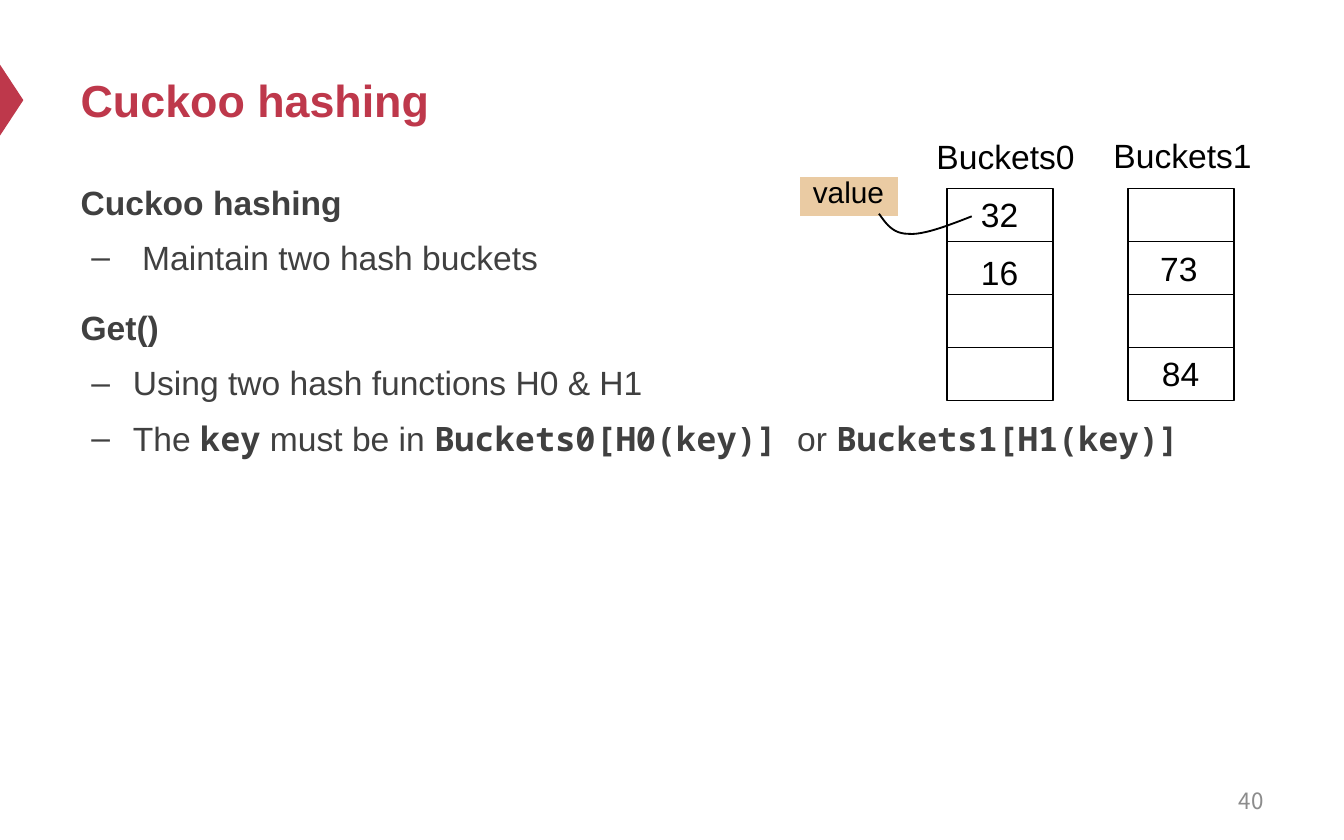
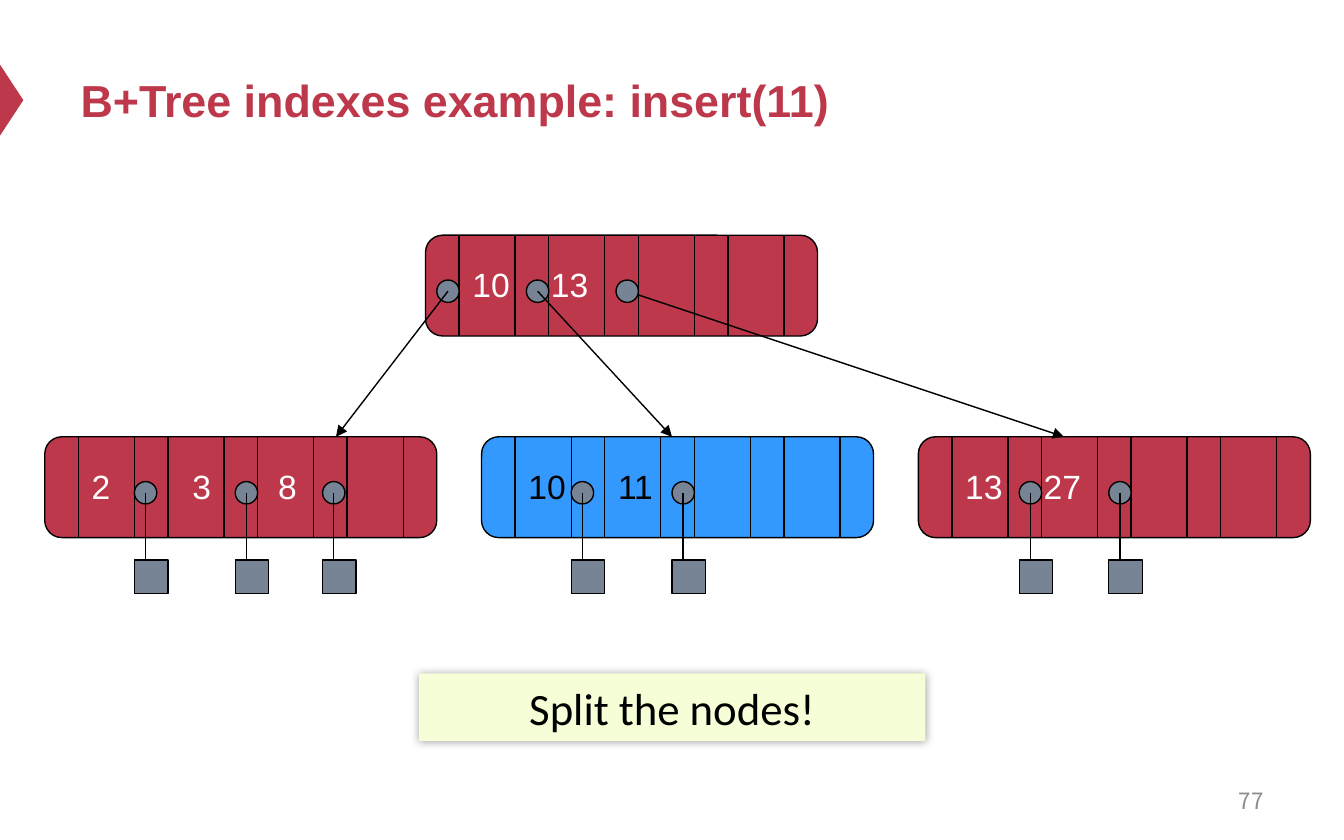
from lxml.etree import SubElement
from pptx import Presentation
from pptx.dml.color import RGBColor
from pptx.enum.shapes import MSO_CONNECTOR as Connector, MSO_SHAPE as Preset
from pptx.enum.text import MSO_ANCHOR as Anchor, MSO_AUTO_SIZE as AutoSize, PP_ALIGN as Align
from pptx.oxml.ns import qn
from pptx.util import Pt

COLORS = {
    "accent": "BE384B",
    "body": "404040",
    "number": "8C8C8C",
    "black": "000000",
    "white": "FFFFFF",
    "tag": "EACBA3",
    "pointer": "778495",
    "split": "3399FF",
    "callout": "F5FED6",
}
SANS, MONO, CALLOUT, NUMBER = "Arial", "Noto Sans Mono", "Calibri", "Noto Sans CJK SC"
TITLE_ONLY, TITLE_AND_BODY = 5, 1
CELL_WIDTH, CELL_HEIGHT = 56.8, 28.4
NODE_WIDTH, NODE_HEIGHT = 210, 54
KEY_WIDTH, POINTER_WIDTH = 30, 18
DOT, RECORD = 12, 18


def color(name):
    return RGBColor.from_string(COLORS[name])


def bezier(start, first, second, end, steps=12):
    for step in range(1, steps + 1):
        t = step / steps
        weights = ((1 - t) ** 3, 3 * t * (1 - t) ** 2, 3 * t ** 2 * (1 - t), t ** 3)
        yield tuple(
            sum(weight * point[axis] for weight, point in zip(weights, (start, first, second, end)))
            for axis in (0, 1)
        )


class SlideBuilder:
    def __init__(self):
        self.deck = Presentation()
        self.deck.slide_width, self.deck.slide_height = Pt(720), Pt(450)
        self.page = None

    def start(self, layout, title, number):
        self.page = self.deck.slides.add_slide(self.deck.slide_layouts[layout])
        marker = self.shape(Preset.ISOSCELES_TRIANGLE, -12.75, 47.4, 38, 12.5, "accent", None)
        marker.rotation = 90
        heading = self.page.shapes.title
        self.place(heading, 36, 18, 648, 70.5)
        frame = heading.text_frame
        frame.text = title
        frame.vertical_anchor = Anchor.MIDDLE
        self.style(frame.paragraphs[0], 24, "accent", bold=True)
        box = self.label(str(number), 516, 417, 168, 24, 12, "number", NUMBER, wrap=True)
        box.text_frame.auto_size = AutoSize.NONE
        box.text_frame.vertical_anchor = Anchor.MIDDLE
        box.text_frame.paragraphs[0].alignment = Align.RIGHT

    def place(self, shape, left, top, width, height):
        shape.left, shape.top = Pt(left), Pt(top)
        shape.width, shape.height = Pt(width), Pt(height)

    def style(self, para, size, ink, font=SANS, bold=False, align=Align.LEFT):
        para.alignment = align
        para.font.size = Pt(size)
        para.font.bold = bold
        para.font.color.rgb = color(ink)
        if font:
            para.font.name = font

    def shape(self, preset, left, top, width, height, fill, line="black", weight=0.75):
        shape = self.page.shapes.add_shape(preset, Pt(left), Pt(top), Pt(width), Pt(height))
        shape.shadow.inherit = False
        self.paint(shape, fill, line, weight)
        return shape

    def paint(self, shape, fill, line, weight):
        if fill:
            shape.fill.solid()
            shape.fill.fore_color.rgb = color(fill)
        else:
            shape.fill.background()
        if line:
            shape.line.color.rgb = color(line)
            shape.line.width = Pt(weight)
        else:
            shape.line.fill.background()

    def label(self, text, left, top, width, height, size=18, ink="black", font=SANS, wrap=False):
        box = self.page.shapes.add_textbox(Pt(left), Pt(top), Pt(width), Pt(height))
        frame = box.text_frame
        frame.word_wrap = wrap
        frame.auto_size = AutoSize.SHAPE_TO_FIT_TEXT
        frame.text = text
        self.style(frame.paragraphs[0], size, ink, font)
        return box

    def key(self, value, left, top, ink="black"):
        self.label(str(value), left, top, 14.5 + 10 * len(str(value)), 29, ink=ink)

    def line(self, x1, y1, x2, y2, arrow=False):
        line = self.page.shapes.add_connector(Connector.STRAIGHT, Pt(x1), Pt(y1), Pt(x2), Pt(y2))
        line.line.color.rgb = color("black")
        line.line.width = Pt(0.75)
        if arrow:
            SubElement(line.line._get_or_add_ln(), qn("a:tailEnd"), type="triangle")
        SubElement(line._element.spPr, qn("a:effectLst"))

    def curve(self, start, *segments):
        points, last = [], start
        for segment in segments:
            points += bezier(last, *segment)
            last = segment[-1]
        path = self.page.shapes.build_freeform(Pt(start[0]), Pt(start[1]))
        path.add_line_segments([(Pt(x), Pt(y)) for x, y in points], close=False)
        shape = path.convert_to_shape()
        shape.shadow.inherit = False
        self.paint(shape, None, "black", 1)

    def outline(self, left, top, width, height, items):
        body = self.page.placeholders[1]
        self.place(body, left, top, width, height)
        frame = body.text_frame
        frame.auto_size = AutoSize.NONE
        for index, (margin, spans) in enumerate(items):
            para = frame.paragraphs[0] if index == 0 else frame.add_paragraph()
            para.line_spacing = 1.2
            para.level = 1 if margin else 0
            para.space_before = Pt(0 if index == 0 else 3.6 if margin else 12)
            properties = para._p.get_or_add_pPr()
            properties.set("marL", str(Pt(margin)))
            properties.set("indent", str(Pt(5.75 - margin if margin else 0)))
            if margin:
                SubElement(properties, qn("a:buChar"), char="–")
            else:
                SubElement(properties, qn("a:buNone"))
            mixed = len(spans) > 1
            self.style(para, 18, "body", None if mixed else SANS, bold=not margin)
            for position, text in enumerate(spans):
                span = para.add_run()
                span.text = text
                if mixed:
                    code = position % 2 == 1
                    span.font.name = MONO if code else SANS
                    span.font.bold = code

    def buckets(self, name, left, name_left, name_top):
        for row in range(4):
            self.shape(Preset.RECTANGLE, left, 101 + row * CELL_HEIGHT,
                       CELL_WIDTH, CELL_HEIGHT, None, weight=1)
        self.label(name, name_left, name_top, 94.3, 29, wrap=True)

    def node(self, left, top, keys, fill="accent", ink="white"):
        frame = self.shape(Preset.ROUNDED_RECTANGLE, left, top, NODE_WIDTH, NODE_HEIGHT, fill)
        frame.adjustments[0] = 0.17
        for slot in range(4):
            edge = left + POINTER_WIDTH + slot * (KEY_WIDTH + POINTER_WIDTH)
            for x in (edge, edge + KEY_WIDTH):
                self.line(x, top, x, top + NODE_HEIGHT)
        for value, offset in keys:
            self.key(value, left + offset, top + 12, ink)

    def dot(self, left, top):
        self.shape(Preset.OVAL, left, top, DOT, DOT, "pointer")

    def record(self, left, node_top):
        self.dot(left, node_top + 24)
        center = left + DOT / 2
        self.line(center, node_top + 30, center, node_top + 78, arrow=True)
        self.shape(Preset.RECTANGLE, left, node_top + 66, RECORD, RECORD, "pointer")

    def callout(self, text, left, top, width, height):
        box = self.shape(Preset.RECTANGLE, left, top, width, height, "callout", None)
        effects = box._element.spPr.find(qn("a:effectLst"))
        shadow = SubElement(effects, qn("a:outerShdw"), blurRad=str(Pt(5)), dist="0", dir="0")
        tint = SubElement(shadow, qn("a:srgbClr"), val=COLORS["black"])
        SubElement(tint, qn("a:alpha"), val="40000")
        frame = box.text_frame
        frame.auto_size = AutoSize.SHAPE_TO_FIT_TEXT
        frame.text = text
        self.style(frame.paragraphs[0], 24, "black", CALLOUT, align=Align.CENTER)


def cuckoo_slide(slides):
    slides.start(TITLE_AND_BODY, "Cuckoo hashing", 40)
    slides.outline(36, 89.3, 648, 296.6, [
        (0, ["Cuckoo hashing"]),
        (33, ["Maintain two hash buckets"]),
        (0, ["Get()"]),
        (28, ["Using two hash functions H0 & H1"]),
        (28, ["The ", "key", " must be in ", "Buckets0[H0(key)] ", "or ", "Buckets1[H1(key)]"]),
    ])
    slides.buckets("Buckets0", 507.4, 494.6, 69.2)
    slides.buckets("Buckets1", 604.4, 589.4, 68.6)
    for value, left, top in ((32, 518.4, 100.4), (16, 518.4, 131.5),
                             (73, 614.4, 129), (84, 615.4, 185.6)):
        slides.key(value, left, top)
    slides.shape(Preset.RECTANGLE, 427.6, 93.8, 54.4, 23, "tag", "white", 2)
    slides.label("value", 428.4, 89.3, 53.3, 26.6, size=16)
    slides.curve((520.6, 115.9),
                 ((507.6, 121), (494.6, 126), (486.7, 125.3)),
                 ((478.1, 125.3), (474.5, 119.5), (470.9, 114.5)))


def tree_slide(slides):
    slides.start(TITLE_ONLY, "B+Tree indexes example: insert(11)", 77)
    root_top, leaf_top = 126, 234
    slides.node(24, leaf_top, [(2, 18), (3, 72), (8, 118)])
    slides.node(258, leaf_top, [(10, 18), (11, 66)], "split", "black")
    slides.node(492, leaf_top, [(13, 18), (27, 60)])
    slides.node(228, root_top, [(10, 18), (13, 60)])
    for left in (72, 126, 172.8, 306, 360, 546, 594):
        slides.record(left, leaf_top)
    pointer_y = root_top + 30
    slides.line(336, pointer_y, 570, leaf_top, arrow=True)
    for slot in range(3):
        slides.dot(234 + slot * (KEY_WIDTH + POINTER_WIDTH), root_top + 24)
    slides.line(240, pointer_y, 180, leaf_top, arrow=True)
    slides.line(288, pointer_y, 360, leaf_top, arrow=True)
    slides.callout("Split the nodes!", 224.4, 360.8, 271.4, 36.3)


def main():
    slides = SlideBuilder()
    cuckoo_slide(slides)
    tree_slide(slides)
    slides.deck.save("out.pptx")


if __name__ == "__main__":
    main()
